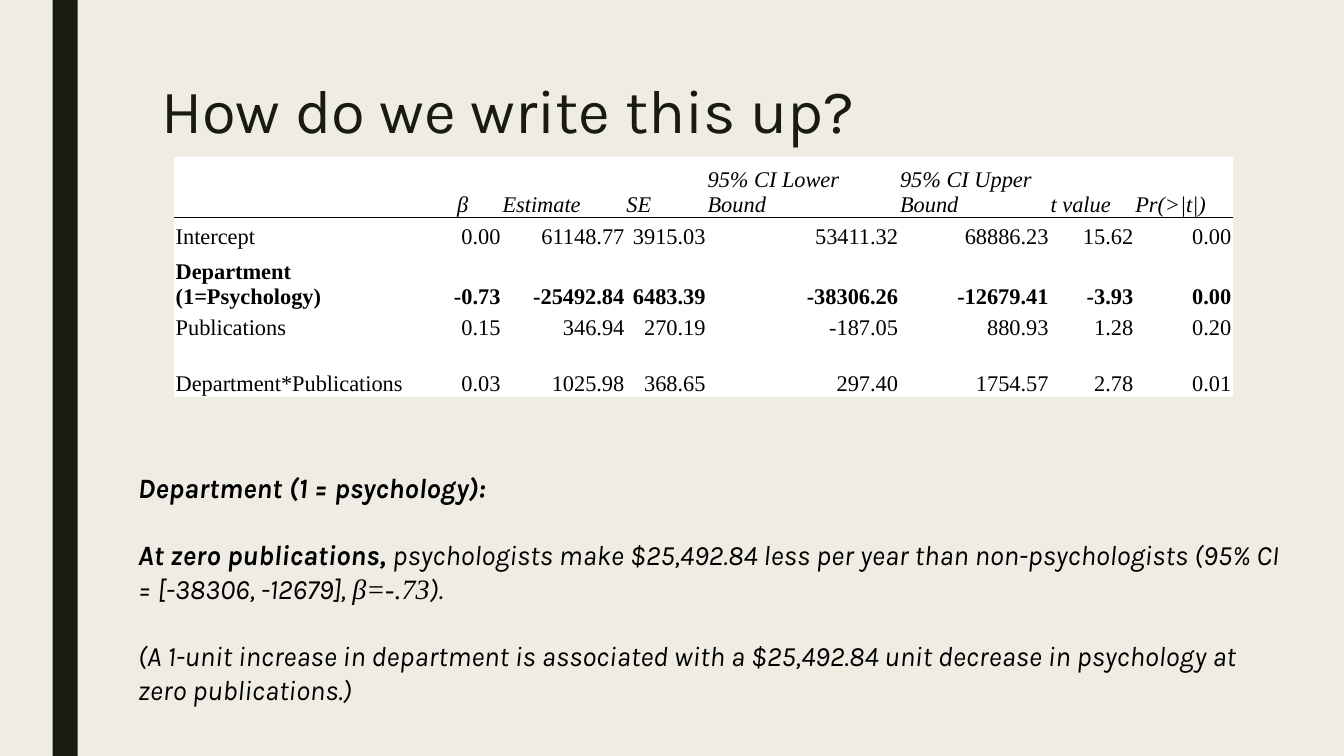
from dataclasses import dataclass

from lxml import etree
from pptx import Presentation
from pptx.dml.color import RGBColor
from pptx.enum import shapes, text
from pptx.oxml import ns
from pptx.util import Pt


@dataclass(frozen=True)
class Theme:
    """Colours, fonts and type sizes of the slide."""
    background: str = "EFEDE3"
    dark: str = "191B0E"
    black: str = "000000"
    white: str = "FFFFFF"
    sans: str = "Karla"
    serif: str = "Times New Roman"
    title_size: int = 44
    body_size: int = 20
    table_size: int = 16


THEME = Theme()
COLUMN_WIDTHS = [178, 55.5, 88.5, 58, 137.5, 107.5, 60.5, 70]
ROW_HEIGHTS = [43, 22.5, 43, 22.5, 40]
BOLD_ROW = 2
COEFFICIENTS = [
    ["", "β", "Estimate", "SE", "95% CI Lower Bound", "95% CI Upper Bound", "t value", "Pr(>|t|)"],
    ["Intercept", "0.00", "61148.77", "3915.03", "53411.32", "68886.23", "15.62", "0.00"],
    ["Department\n(1=Psychology)", "-0.73", "-25492.84", "6483.39", "-38306.26", "-12679.41", "-3.93", "0.00"],
    ["Publications", "0.15", "346.94", "270.19", "-187.05", "880.93", "1.28", "0.20"],
    ["Department*Publications", "0.03", "1025.98", "368.65", "297.40", "1754.57", "2.78", "0.01"],
]
WRITE_UP = [
    [("Department (1 = psychology):", True, THEME.sans)],
    [("At zero publications, ", True, THEME.sans),
     ("psychologists make $25,492.84 less per year than non-psychologists "
      "(95% CI = [-38306, -12679], ", False, THEME.sans),
     ("β=-.73", False, THEME.serif),
     (").", False, THEME.sans)],
    [("(A 1-unit increase in department is associated with a $25,492.84 unit "
      "decrease in psychology at zero publications.)", False, THEME.sans)],
]


def set_font(font, name, size, color, bold=False, italic=False):
    """Set every property of a font."""
    font.name, font.size = name, Pt(size)
    font.bold, font.italic = bold, italic
    font.color.rgb = RGBColor.from_string(color)


def add_text_frame(slide, box):
    """Add a wrapping text box and return its text frame."""
    frame = slide.shapes.add_textbox(*map(Pt, box)).text_frame
    frame.word_wrap = True
    return frame


def add_side_bar(slide, box):
    """Draw the dark vertical bar."""
    shape = slide.shapes.add_shape(shapes.MSO_SHAPE.RECTANGLE, *map(Pt, box))
    shape.shadow.inherit = False
    shape.fill.solid()
    shape.fill.fore_color.rgb = RGBColor.from_string(THEME.dark)
    shape.line.fill.background()


def add_title(slide, box):
    """Write the slide title."""
    paragraph = add_text_frame(slide, box).paragraphs[0]
    paragraph.text = "How do we write this up?"
    paragraph.line_spacing = 0.89
    set_font(paragraph.font, THEME.sans, THEME.title_size, THEME.dark)


def add_rule(cell, side):
    """Rule one side of a cell with a thin black line."""
    properties = cell._tc.get_or_add_tcPr()
    line = etree.Element(ns.qn(f"a:{side}"), w=str(Pt(1)))
    fill = etree.SubElement(line, ns.qn("a:solidFill"))
    etree.SubElement(fill, ns.qn("a:srgbClr"), val=THEME.black)
    properties.insert(0, line)


def alignment_for(row, column):
    """Return the paragraph alignment for a table position."""
    if row == 0 and column == 1:
        return text.PP_ALIGN.CENTER
    return text.PP_ALIGN.RIGHT if row and column else text.PP_ALIGN.LEFT


def fill_cell(cell, row, column):
    """Write and format one cell of the coefficient table."""
    cell.fill.solid()
    cell.fill.fore_color.rgb = RGBColor.from_string(THEME.white)
    cell.vertical_anchor = text.MSO_ANCHOR.BOTTOM
    cell.margin_left = cell.margin_right = cell.margin_top = Pt(0.75)
    cell.margin_bottom = 0
    cell.text = COEFFICIENTS[row][column]
    for paragraph in cell.text_frame.paragraphs:
        paragraph.alignment = alignment_for(row, column)
        set_font(paragraph.font, THEME.serif, THEME.table_size, THEME.black,
                 bold=row == BOLD_ROW, italic=row == 0)
    if row < 2:
        add_rule(cell, ("lnB", "lnT")[row])


def add_coefficient_table(slide, left, top):
    """Build the regression coefficient table from its top left corner."""
    table = slide.shapes.add_table(
        len(ROW_HEIGHTS), len(COLUMN_WIDTHS), Pt(left), Pt(top),
        Pt(sum(COLUMN_WIDTHS)), Pt(sum(ROW_HEIGHTS))).table
    table.first_row = table.horz_banding = False
    for column, width in zip(table.columns, COLUMN_WIDTHS):
        column.width = Pt(width)
    for row, height in zip(table.rows, ROW_HEIGHTS):
        row.height = Pt(height)
    for row in range(len(ROW_HEIGHTS)):
        for column in range(len(COLUMN_WIDTHS)):
            fill_cell(table.cell(row, column), row, column)


def add_write_up(slide, box):
    """Write the interpretation paragraphs."""
    frame = add_text_frame(slide, box)
    for index, runs in enumerate(WRITE_UP):
        paragraph = frame.add_paragraph() if index else frame.paragraphs[0]
        paragraph.space_before = Pt(24 if index else 0)
        for words, bold, name in runs:
            run = paragraph.add_run()
            run.text = words
            set_font(run.font, name, THEME.body_size, THEME.black, bold, italic=True)


def main():
    """Build and save the presentation."""
    presentation = Presentation()
    presentation.slide_width, presentation.slide_height = Pt(960), Pt(540)
    slide = presentation.slides.add_slide(presentation.slide_layouts[6])
    slide.background.fill.solid()
    slide.background.fill.fore_color.rgb = RGBColor.from_string(THEME.background)
    add_side_bar(slide, (37.5, 0, 18, 540))
    add_title(slide, (108, 54, 756, 116.5))
    add_coefficient_table(slide, 124.75, 112.5)
    add_write_up(slide, (91.5, 332.5, 834, 177))
    presentation.save("out.pptx")


if __name__ == "__main__":
    main()
